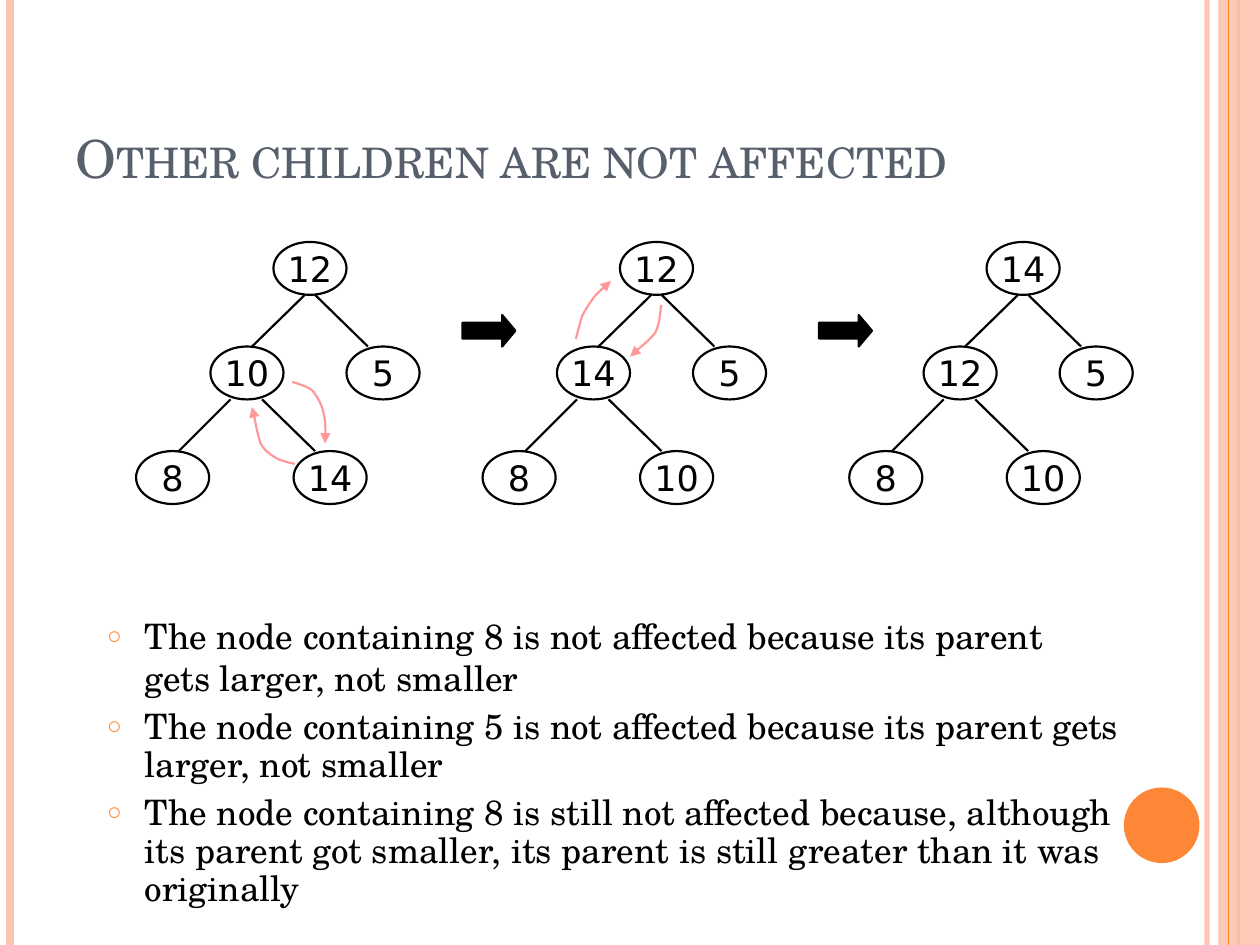
from lxml import etree
from pptx import Presentation
from pptx.dml.color import RGBColor
from pptx.enum import shapes as es, text as et
from pptx.oxml import ns
from pptx.util import Inches, Pt

INK = {"peach": "FEC3AE", "orange": "FE8637", "slate": "575F6D",
       "black": "000000", "pink": "FF9999"}
SERIF, SANS = "TeX Gyre Schola", "DejaVu Sans"

TITLE = "Other children are not affected"
LISTS = [  # box, line spacing, items
    ((0.75, 4.83, 8.17, 0.81), 1.0, [
        "The node containing 8 is not affected because its parent gets larger, not smaller"]),
    ((0.75, 5.58, 8.33, 1.42), 0.9, [
        "The node containing 5 is not affected because its parent gets larger, not smaller",
        "The node containing 8 is still not affected because, although its parent got "
        "smaller, its parent is still greater than it was originally"]),
]

# x, colour, width, opacity
RULES = [(9.58, "peach", 3, 93), (0.08, "peach", 4.5, 100),
         (9.83, "orange", 1.5, 100), (9.75, "orange", 0.75, 100)]

# Trees: left edge of the root, then values as root, left, right, left.left, left.right
TREES = [(2.17, (12, 10, 5, 8, 14)), (4.92, (12, 14, 5, 8, 10)), (7.83, (14, 12, 5, 8, 10))]
SPOTS = [(0, 0), (-0.5, 1), (0.58, 1), (-1.09, 2), (0.16, 2)]  # offset, level
EDGES = [(0.25, -0.17, 0), (0.33, 0.75, 0), (-0.34, -0.75, 1), (-0.09, 0.33, 1)]
TOP, STEP, WIDE, HIGH = 1.92, 0.83, 0.58, 0.42
STEPS = [3.67, 6.5]

# Swap arrows per tree: Bezier points, each segment sharing its end with the next
SWAPS = [
    [[(2.34, 3.68), (2.32, 3.68), (2.24, 3.66), (2.2, 3.64), (2.15, 3.61), (2.1, 3.58),
      (2.07, 3.52), (2.04, 3.45), (2.02, 3.29), (2, 3.23)],
     [(2.32, 3.03), (2.34, 3.04), (2.43, 3.06), (2.48, 3.1), (2.52, 3.15), (2.56, 3.22),
      (2.57, 3.29), (2.59, 3.36), (2.58, 3.48), (2.58, 3.52)]],
    [[(4.57, 2.69), (4.58, 2.66), (4.6, 2.57), (4.62, 2.51), (4.65, 2.45), (4.69, 2.39),
      (4.73, 2.34), (4.77, 2.3), (4.83, 2.25), (4.85, 2.23)],
     [(5.25, 2.42), (5.24, 2.45), (5.24, 2.57), (5.2, 2.64), (5.16, 2.7), (5.04, 2.79),
      (5, 2.83)]],
]


def rgb(name):
    return RGBColor.from_string(INK[name])


def sub(node, tag, **attrs):
    return etree.SubElement(node, ns.qn(tag), attrs)


def fade(part, pct):
    """Set the opacity of the solid colour inside part."""
    if pct < 100:
        sub(next(part.iter(ns.qn("a:srgbClr"))), "a:alpha", val=str(pct * 1000))


def stroke(shape, color, width):
    shape.line.color.rgb = rgb(color)
    shape.line.width = Pt(width)


def rule(home, start, end, color, width):
    line = home.add_connector(es.MSO_CONNECTOR.STRAIGHT,
                              *[Inches(v) for v in (*start, *end)])
    stroke(line, color, width)
    sub(line._element.spPr, "a:effectLst")
    return line


def block(home, kind, box, fill=None, edge=None):
    shape = home.add_shape(kind, *[Inches(v) for v in box])
    shape.shadow.inherit = False
    if fill:
        shape.fill.solid()
        shape.fill.fore_color.rgb = rgb(fill)
    else:
        shape.fill.background()
    if edge:
        stroke(shape, edge, 1.25)
    else:
        shape.line.fill.background()
    return shape


def write(para, words, size, font, color):
    run = para.add_run()
    run.text = words
    run.font.size, run.font.name = Pt(size), font
    run.font.color.rgb = rgb(color)
    return run


def place(holder, box, anchor):
    holder.left, holder.top, holder.width, holder.height = [Inches(v) for v in box]
    frame = holder.text_frame
    frame.auto_size, frame.word_wrap = et.MSO_AUTO_SIZE.NONE, True
    frame.vertical_anchor = anchor
    return frame


def bullet(para):
    props = para._p.get_or_add_pPr()
    props.set("marL", str(Inches(0.3)))
    props.set("indent", str(-Inches(0.3)))
    sub(sub(props, "a:buClr"), "a:srgbClr", val=INK["orange"])
    sub(props, "a:buSzPct", val="70000")
    sub(props, "a:buChar", char="○")


def tree(home, left, values):
    group = home.add_group_shape().shapes
    for a, b, level in EDGES:
        y = TOP + HIGH + level * STEP
        rule(group, (left + a, y), (left + b, TOP + (level + 1) * STEP), "black", 1.25)
    for value, (dx, level) in zip(values, SPOTS):
        node = block(group, es.MSO_SHAPE.OVAL,
                     (left + dx, TOP + level * STEP, WIDE, HIGH), edge="black")
        frame = node.text_frame
        frame.word_wrap = False
        frame.vertical_anchor = et.MSO_ANCHOR.MIDDLE
        para = frame.paragraphs[0]
        para.alignment = et.PP_ALIGN.CENTER
        write(para, str(value), 20, SANS, "black")


def curve(pts, fine=8):
    """Return points along a chain of cubic Bezier segments."""
    out = [pts[0]]
    for i in range(0, len(pts) - 1, 3):
        for k in range(1, fine + 1):
            t = k / fine
            w = ((1 - t) ** 3, 3 * t * (1 - t) ** 2, 3 * t * t * (1 - t), t ** 3)
            out.append(tuple(sum(m * p[d] for m, p in zip(w, pts[i:i + 4])) for d in (0, 1)))
    return [(Inches(x), Inches(y)) for x, y in out]


def swap(home, paths):
    group = home.add_group_shape().shapes
    for path in paths:
        first, *rest = curve(path)
        pen = group.build_freeform(*first)
        pen.add_line_segments(rest, close=False)
        arrow = pen.convert_to_shape()
        arrow.shadow.inherit = False
        arrow.fill.background()
        stroke(arrow, "pink", 1.25)
        sub(arrow.line._get_or_add_ln(), "a:tailEnd", type="triangle")


def main():
    deck = Presentation()
    deck.slide_width, deck.slide_height = Inches(10), Inches(7.5)
    slide = deck.slides.add_slide(deck.slide_layouts[3])
    home = slide.shapes
    title, *bodies = list(slide.placeholders)

    for x, color, width, pct in RULES:
        fade(rule(home, (x, 0), (x, 7.5), color, width)._element, pct)
    band = block(home, es.MSO_SHAPE.RECTANGLE, (9.67, 0, 0.33, 7.5), "peach")
    fade(band._element, 87)
    home._spTree.insert(home._spTree.index(band._element) - 1, band._element)
    block(home, es.MSO_SHAPE.OVAL, (8.92, 6.25, 0.6, 0.6), "orange")

    for holder in (title, *bodies):  # text goes in front of the frame
        home._spTree.append(holder._element)
    para = place(title, (0.5, 0.3, 8.17, 1.25), et.MSO_ANCHOR.BOTTOM).paragraphs[0]
    para.alignment = et.PP_ALIGN.LEFT
    write(para, TITLE, 30, SERIF, "slate").font._element.set("cap", "small")

    for holder, (box, space, items) in zip(bodies, LISTS):
        frame = place(holder, box, et.MSO_ANCHOR.TOP)
        for i, item in enumerate(items):
            para = frame.add_paragraph() if i else frame.paragraphs[0]
            bullet(para)
            para.line_spacing = space
            para.space_before = Pt(6 if i else 0)
            write(para, item, 20, SERIF, "black")

    for left, values in TREES:
        tree(home, left, values)
    for paths in SWAPS:
        swap(home, paths)
    for left in STEPS:
        arrow = block(home, es.MSO_SHAPE.RIGHT_ARROW, (left, 2.5, 0.42, 0.25), "black", "black")
        arrow.adjustments[1] = 0.42
    deck.save("out.pptx")


if __name__ == "__main__":
    main()
